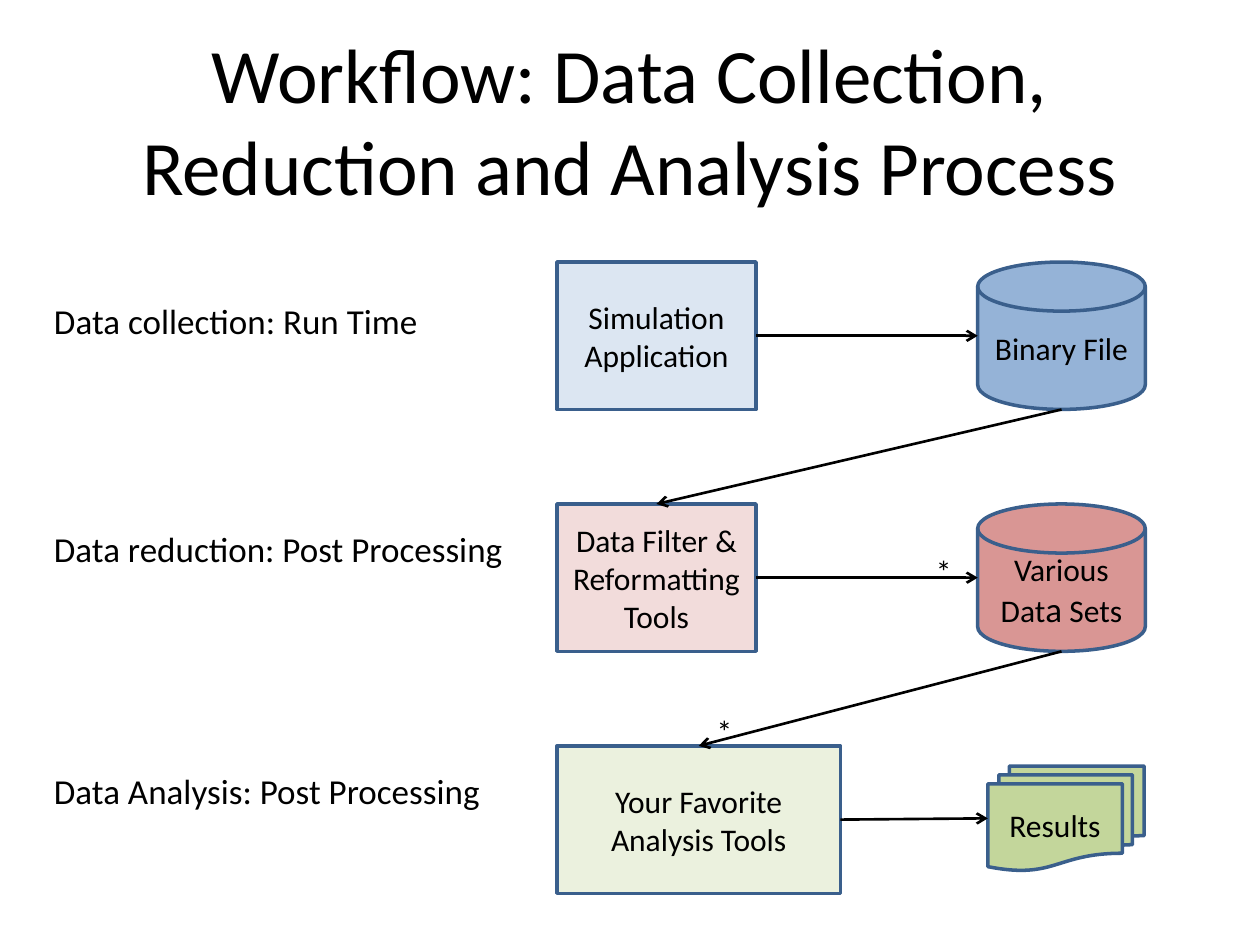
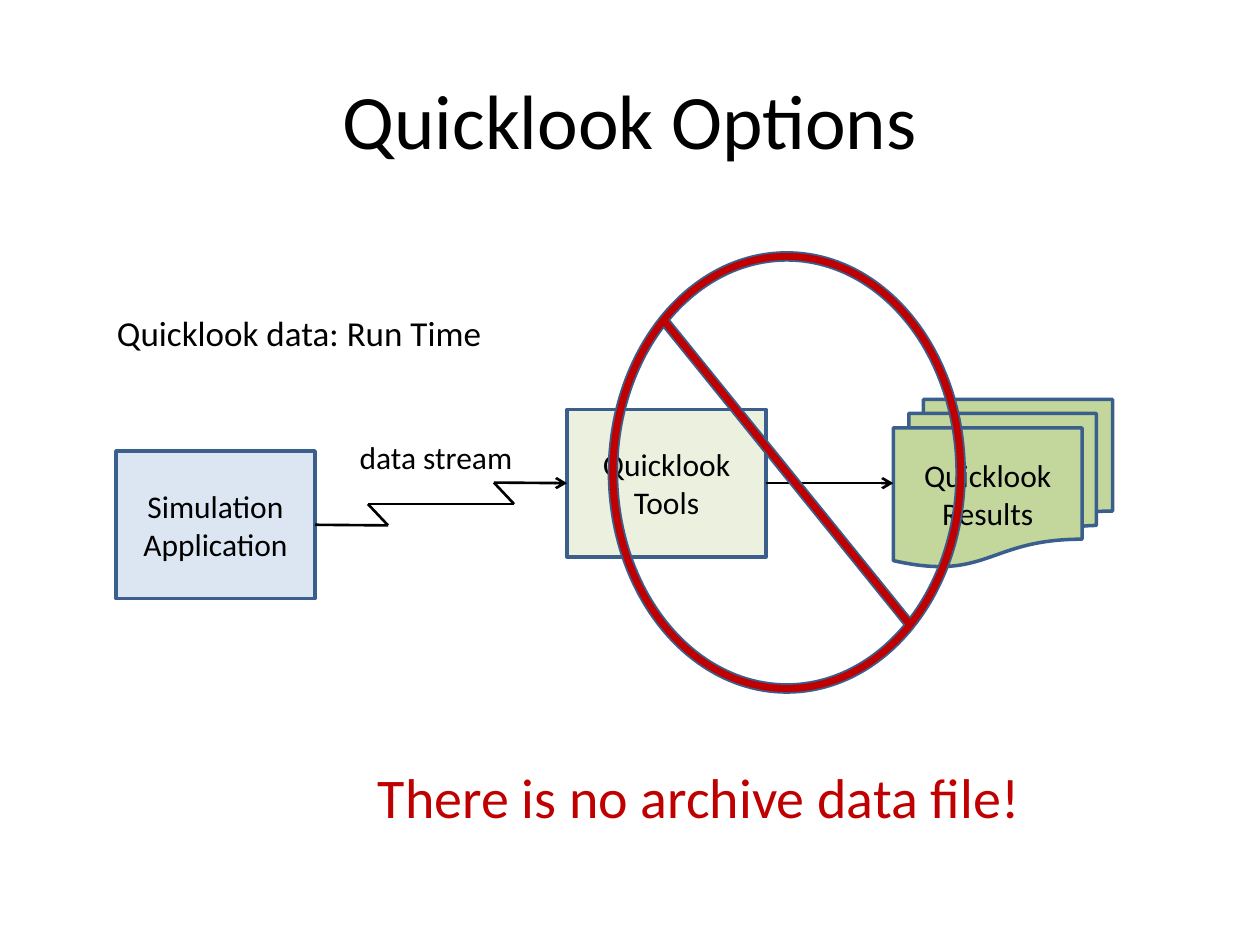
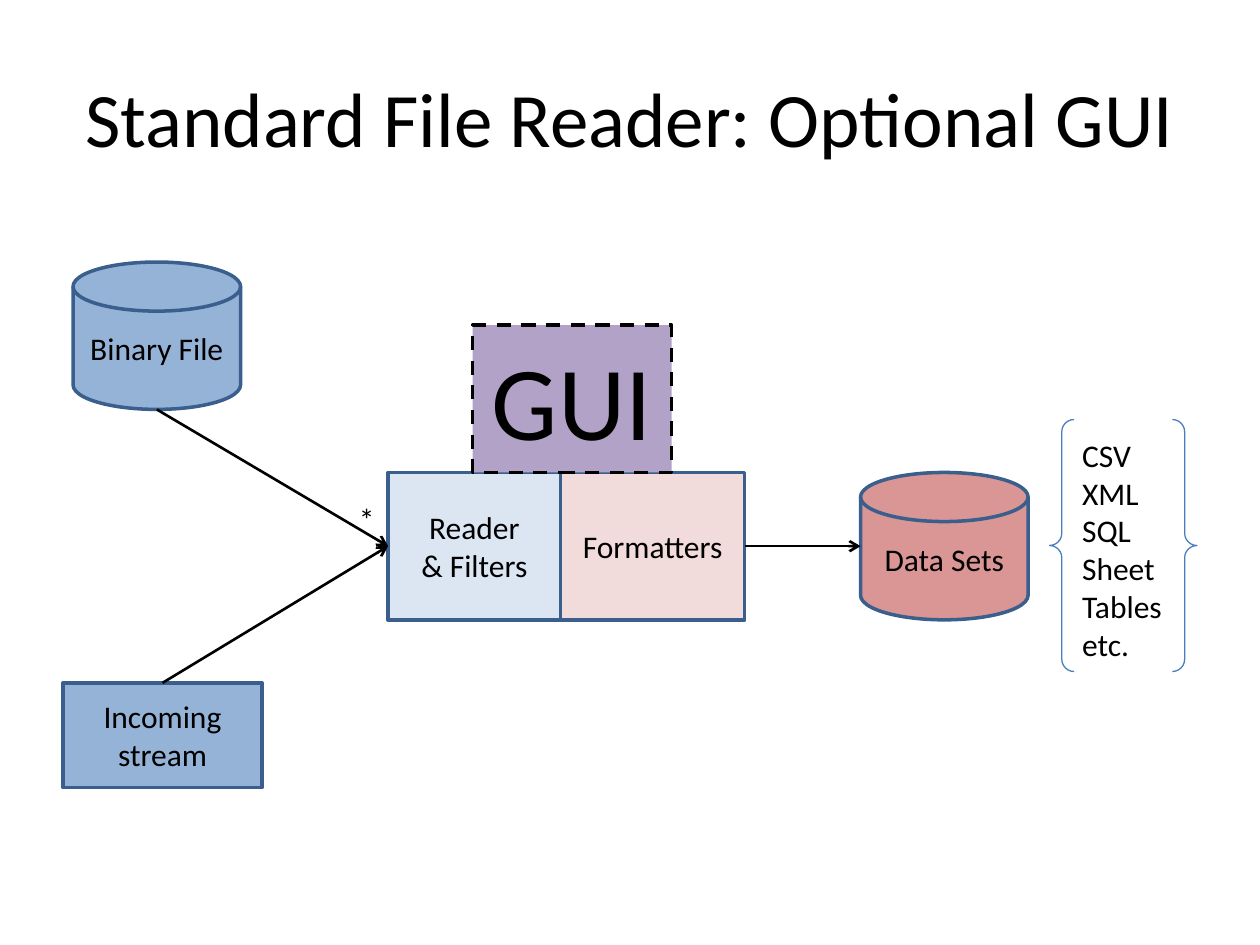
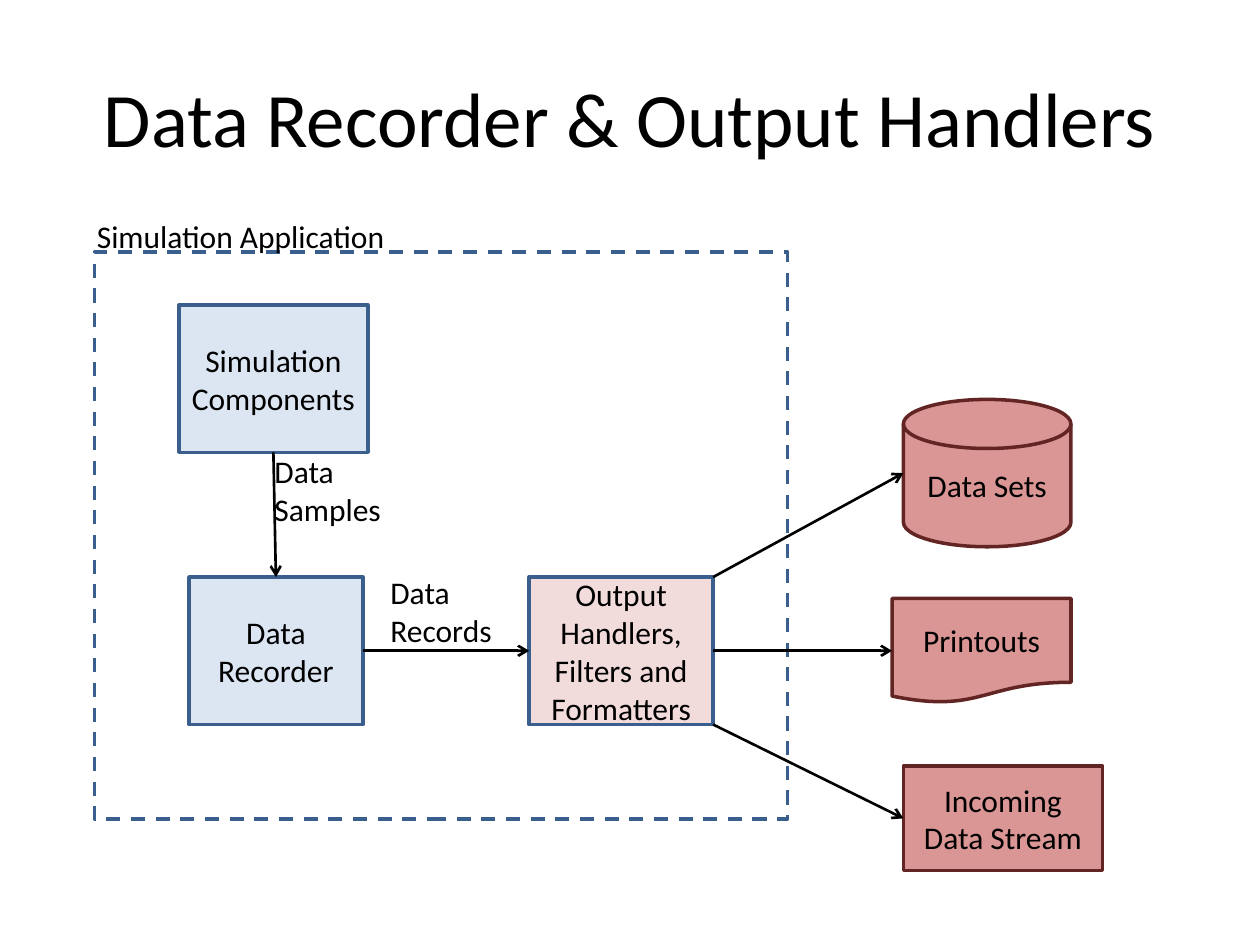
from pptx import Presentation
from pptx.dml.color import RGBColor
from pptx.enum.dml import MSO_LINE
from pptx.enum.shapes import MSO_CONNECTOR, MSO_SHAPE
from pptx.enum.text import MSO_ANCHOR, MSO_AUTO_SIZE, PP_ALIGN
from pptx.oxml.ns import qn
from pptx.util import Inches, Pt
from lxml import etree

FONT = "Calibri"
BLACK, RED = "000000", "C00000"
OUTLINE, BRACE, MAROON = "3A5F8C", "4B7EBC", "632523"
PALE_BLUE, BLUE = "DCE6F2", "95B3D7"
PALE_RED, ROSE = "F2DCDB", "D99694"
PALE_GREEN, GREEN = "EBF1DE", "C3D69B"
PURPLE = "B3A2C7"

RECT = MSO_SHAPE.RECTANGLE
DISK = MSO_SHAPE.FLOWCHART_MAGNETIC_DISK
DOCUMENT = MSO_SHAPE.FLOWCHART_DOCUMENT
DOCUMENTS = MSO_SHAPE.FLOWCHART_MULTIDOCUMENT

BOX = (1.58, 1.17)
DISK_SIZE = (1.33, 1.17)
LOW_BOX = (1.58, 0.83)

# Points on a shape, as fractions of its width and height
TOP, BOTTOM, LEFT, RIGHT = (0.5, 0), (0.5, 1), (0, 0.5), (1, 0.5)
TOP_RIGHT, BOTTOM_RIGHT = (1, 0), (1, 1)


def rgb(value):
    return RGBColor.from_string(value)


def style_run(r, size, color=BLACK):
    r.font.name = FONT
    r.font.size = Pt(size)
    r.font.color.rgb = rgb(color)


def write(sp, text, size, color=BLACK, align=PP_ALIGN.LEFT):
    tf = sp.text_frame
    tf.text = text
    for p in tf.paragraphs:
        p.alignment = align
        for r in p.runs:
            style_run(r, size, color)


def add_title(s, text, top=0.3, height=1.25):
    sp = s.shapes.add_textbox(Inches(0.5), Inches(top), Inches(9), Inches(height))
    sp.text_frame.word_wrap = True
    sp.text_frame.vertical_anchor = MSO_ANCHOR.MIDDLE
    write(sp, text, 44, align=PP_ALIGN.CENTER)


def add_label(s, text, left, top, width, height=0.4, size=18, wrap=False,
              color=BLACK, align=PP_ALIGN.LEFT):
    sp = s.shapes.add_textbox(Inches(left), Inches(top), Inches(width), Inches(height))
    sp.text_frame.word_wrap = wrap
    sp.text_frame.auto_size = MSO_AUTO_SIZE.SHAPE_TO_FIT_TEXT
    write(sp, text, size, color, align)


def add_star(s, left, top):
    add_label(s, "*", left, top, 0.33)


def add_node(s, kind, left, top, size, fill=None, text="", line=OUTLINE,
             weight=2, dashed=False, font_size=18):
    sp = s.shapes.add_shape(kind, Inches(left), Inches(top), *map(Inches, size))
    sp.shadow.inherit = False
    if fill:
        sp.fill.solid()
        sp.fill.fore_color.rgb = rgb(fill)
    else:
        sp.fill.background()
    sp.line.color.rgb = rgb(line)
    sp.line.width = Pt(weight)
    if dashed:
        sp.line.dash_style = MSO_LINE.DASH
    if text:
        sp.text_frame.word_wrap = True
        sp.text_frame.vertical_anchor = MSO_ANCHOR.MIDDLE
        write(sp, text, font_size, align=PP_ALIGN.CENTER)
    return sp


def add_line(s, start, end, arrow=False):
    """Draw a line between two (x, y) points given as lengths."""
    line = s.shapes.add_connector(MSO_CONNECTOR.STRAIGHT, *start, *end)
    line.line.color.rgb = rgb(BLACK)
    line.line.width = Pt(1.5)
    sp_pr = line._element.spPr
    if arrow:
        etree.SubElement(sp_pr.find(qn("a:ln")), qn("a:tailEnd"), type="arrow")
    etree.SubElement(sp_pr, qn("a:effectLst"))


def point_on(sp, spot):
    return (int(sp.left + sp.width * spot[0]), int(sp.top + sp.height * spot[1]))


def link(s, source, target, start=RIGHT, end=LEFT):
    add_line(s, point_on(source, start), point_on(target, end), arrow=True)


def build_workflow(s):
    add_title(s, "Workflow: Data Collection, Reduction and Analysis Process", 0.33, 1.22)
    collect_top, reduce_top, analyse_top = (2.08 + 1.92 * i for i in range(3))
    box_left, disk_left = 4.42, 7.76

    simulation = add_node(s, RECT, box_left, collect_top, BOX, PALE_BLUE,
                          "Simulation\nApplication")
    tools = add_node(s, RECT, box_left, reduce_top, BOX, PALE_RED,
                     "Data Filter & Reformatting Tools")
    analysis = add_node(s, RECT, box_left, analyse_top, (2.25, 1.17), PALE_GREEN,
                        "Your Favorite Analysis Tools")
    binary = add_node(s, DISK, disk_left, collect_top, DISK_SIZE, BLUE, "Binary File")
    data_sets = add_node(s, DISK, disk_left, reduce_top, DISK_SIZE, ROSE, "Various Dat")
    for text, size in (("a", 20), (" Sets", 18)):
        r = data_sets.text_frame.paragraphs[0].add_run()
        r.text = text
        style_run(r, size)
    results = add_node(s, DOCUMENTS, 7.84, 6.08, (1.24, 0.83), GREEN, "Results")

    link(s, simulation, binary)
    link(s, tools, data_sets)
    link(s, analysis, results)
    link(s, binary, tools, BOTTOM, TOP)
    link(s, data_sets, analysis, BOTTOM, TOP)
    add_star(s, 7.33, 4.33)
    add_star(s, 5.59, 5.6)

    for text, top, width in (("Data collection: Run Time", 2.33, 3.25),
                             ("Data reduction: Post Processing", 4.14, 3.83),
                             ("Data Analysis: Post Processing", 6.06, 3.83)):
        add_label(s, text, 0.33, top, width, 0.44, 20, wrap=True)


def build_quicklook(s):
    add_title(s, "Quicklook Options", 0.33, 1.22)
    simulation = add_node(s, RECT, 0.92, 3.58, BOX, PALE_BLUE, "Simulation\nApplication")
    tools = add_node(s, RECT, 4.5, 3.25, BOX, PALE_GREEN, "Quicklook\nTools")
    results = add_node(s, DOCUMENTS, 7.09, 3.17, (1.74, 1.33), GREEN,
                       "Quicklook\nResults")
    link(s, tools, results)

    bends = [(3.08, 4.17), (2.92, 4), (4.08, 4), (3.92, 3.83)]
    stream = [point_on(simulation, RIGHT)]
    stream += [(Inches(x), Inches(y)) for x, y in bends]
    for start, end in zip(stream, stream[1:]):
        add_line(s, start, end)
    add_line(s, stream[-1], point_on(tools, LEFT), arrow=True)

    add_label(s, "Quicklook data: Run Time", 0.83, 2.42, 3.25, 0.44, 20, wrap=True)
    add_label(s, "data stream", 2.75, 3.43, 1.42, wrap=True, align=PP_ALIGN.CENTER)
    ban = add_node(s, MSO_SHAPE.NO_SYMBOL, 4.83, 2, (2.83, 3.5), RED, weight=1)
    ban.adjustments[0] = 0.025
    add_label(s, "There is no archive data file!", 2.9, 6, 5.35, 0.64, 32, color=RED)


def build_reader(s):
    add_title(s, "Standard File Reader: Optional GUI")
    reader = add_node(s, RECT, 3.08, 3.75, (1.37, 1.17), PALE_BLUE, "Reader\n& Filters")
    formatters = add_node(s, RECT, 4.45, 3.75, (1.46, 1.17), PALE_RED, "Formatters")
    data_sets = add_node(s, DISK, 6.83, 3.75, DISK_SIZE, ROSE, "Data Sets")
    binary = add_node(s, DISK, 0.58, 2.08, DISK_SIZE, BLUE, "Binary File")
    incoming = add_node(s, RECT, 0.5, 5.42, LOW_BOX, BLUE, "Incoming stream")
    add_node(s, RECT, 3.75, 2.58, BOX, PURPLE, "GUI", BLACK, dashed=True, font_size=60)

    link(s, binary, reader, BOTTOM, LEFT)
    link(s, incoming, reader, TOP, LEFT)
    link(s, formatters, data_sets)
    add_star(s, 2.75, 3.92)

    add_node(s, MSO_SHAPE.DOUBLE_BRACE, 8.33, 3.33, (1.17, 2), line=BRACE, weight=0.75)
    add_label(s, "CSV\nXML\nSQL\nSheet\nTables\netc.", 8.49, 3.41, 1, 1.92, wrap=True)


def build_recorder(s):
    add_node(s, RECT, 0.75, 2, (5.5, 4.5), dashed=True)
    add_title(s, "Data Recorder & Output Handlers")
    components = add_node(s, RECT, 1.42, 2.42, (1.5, 1.17), PALE_BLUE,
                          "Simulation\nComponents")
    recorder = add_node(s, RECT, 1.5, 4.58, (1.38, 1.17), PALE_BLUE, "Data\nRecorder")
    handlers = add_node(s, RECT, 4.2, 4.58, (1.46, 1.17), PALE_RED,
                        "Output\nHandlers,\nFilters and\nFormatters")
    data_sets = add_node(s, DISK, 7.17, 3.17, DISK_SIZE, ROSE, "Data Sets", MAROON)
    printouts = add_node(s, DOCUMENT, 7.08, 4.75, (1.42, 0.83), ROSE, "Printouts", MAROON)
    incoming = add_node(s, RECT, 7.17, 6.08, LOW_BOX, ROSE, "Incoming\nData Stream", MAROON)

    link(s, components, recorder, BOTTOM, TOP)
    link(s, recorder, handlers)
    link(s, handlers, data_sets, TOP_RIGHT)
    link(s, handlers, printouts)
    link(s, handlers, incoming, BOTTOM_RIGHT)

    add_label(s, "Simulation Application", 0.67, 1.67, 2.51)
    add_label(s, "Data\nSamples", 2.08, 3.54, 1.06, 0.71)
    add_label(s, "Data\nRecords", 3, 4.5, 1.01, 0.71)


def main():
    prs = Presentation()
    prs.slide_width, prs.slide_height = Inches(10), Inches(7.5)
    for build in (build_workflow, build_quicklook, build_reader, build_recorder):
        build(prs.slides.add_slide(prs.slide_layouts[6]))
    prs.save("out.pptx")


if __name__ == "__main__":
    main()
